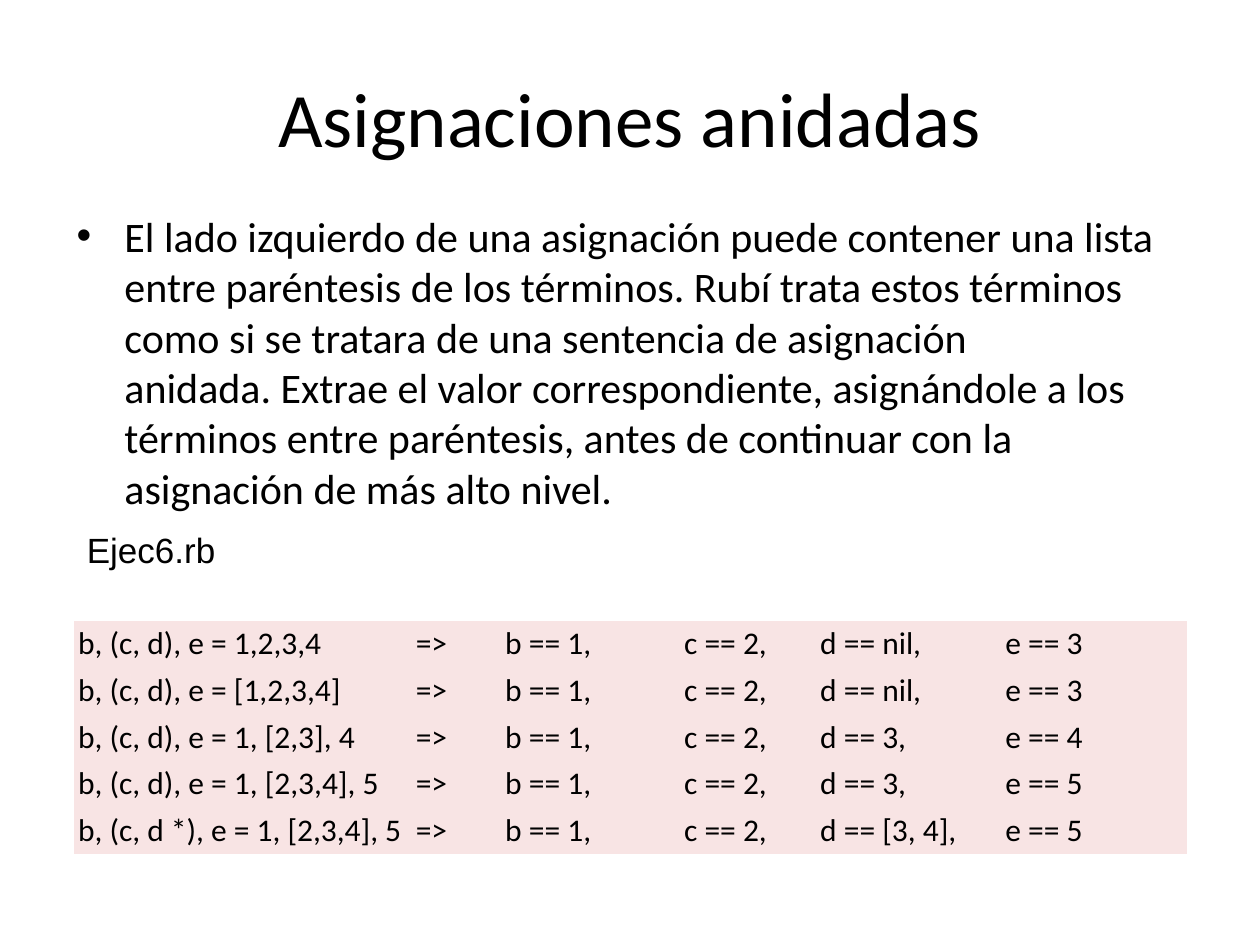
from pptx import Presentation, util as u
from pptx.dml.color import RGBColor
from pptx.enum import text
from lxml import etree

TITLE = "Asignaciones anidadas"
BODY = ("El lado izquierdo de una asignación puede contener una lista entre "
        "paréntesis de los términos.\u00a0Rubí trata estos términos como si se "
        "tratara de una sentencia de asignación anidada.\u00a0Extrae el valor "
        "correspondiente, asignándole a los términos entre paréntesis, antes "
        "de continuar con la asignación de más alto nivel.")
FILE = "Ejec6.rb"
# left side of the assignment, value of d, value of e
CASES = [
    ("b, (c, d), e = 1,2,3,4", "nil", 3),
    ("b, (c, d), e = [1,2,3,4]", "nil", 3),
    ("b, (c, d), e = 1, [2,3], 4", "3", 4),
    ("b, (c, d), e = 1, [2,3,4], 5", "3", 5),
    ("b, (c, d *), e = 1, [2,3,4], 5", "[3, 4]", 5),
]
COLS = [2.68, 0.71, 1.42, 1.08, 1.47, 1.47]
ROW = 0.37
INSET = 0.03
COLORS = {"ink": "000000", "rose": "F8E4E4"}
NO_GRID = "{2D5ABB26-0587-4C30-8999-92F81FD0307C}"


def write(frame, words, size, font="Calibri"):
    """Fill a frame with one styled paragraph and return it."""
    frame.text = words
    par = frame.paragraphs[0]
    style = par.runs[0].font
    style.size, style.name = u.Pt(size), font
    style.color.rgb = RGBColor.from_string(COLORS["ink"])
    return par


def add_text(slide, box, words, size, font="Calibri", anchor="MIDDLE"):
    """Add a wrapping text box and return its paragraph."""
    frame = slide.shapes.add_textbox(*map(u.Inches, box)).text_frame
    frame.word_wrap = True
    frame.vertical_anchor = text.MSO_ANCHOR[anchor]
    return write(frame, words, size, font)


def add_bullet(par, indent):
    """Give a paragraph a round bullet with a hanging indent."""
    props = par._p.get_or_add_pPr()
    props.set("marL", str(u.Inches(indent)))
    props.set("indent", str(-u.Inches(indent)))
    space = "{http://schemas.openxmlformats.org/drawingml/2006/main}"
    etree.SubElement(props, space + "buFont").set("typeface", "Arial")
    etree.SubElement(props, space + "buChar").set("char", "•")


def add_cases(slide, left, top):
    """Add the table of nested assignments and their results."""
    frame = slide.shapes.add_table(
        len(CASES), len(COLS), u.Inches(left), u.Inches(top),
        u.Inches(sum(COLS)), u.Inches(ROW * len(CASES)))
    table = frame.table
    table.first_row = table.horz_banding = False
    table._tbl.tblPr[0].text = NO_GRID
    for col, width in zip(table.columns, COLS):
        col.width = u.Inches(width)
    for row, (code, d, e) in zip(table.rows, CASES):
        words = [code, "=>", "b == 1,", "c == 2,", f"d == {d},", f"e == {e}"]
        for cell, word in zip(row.cells, words):
            cell.margin_left = cell.margin_right = u.Inches(INSET)
            cell.margin_top = cell.margin_bottom = u.Inches(INSET)
            cell.fill.solid()
            cell.fill.fore_color.rgb = RGBColor.from_string(COLORS["rose"])
            write(cell.text_frame, word, 18)


deck = Presentation()
deck.slide_width, deck.slide_height = u.Inches(10), u.Inches(7.5)
slide = deck.slides.add_slide(deck.slide_layouts[6])

title = add_text(slide, (0.5, 0.3, 9, 1.25), TITLE, 44)
title.alignment = text.PP_ALIGN.CENTER
body = add_text(slide, (0.51, 1.62, 9, 2.36), BODY, 24, anchor="TOP")
add_bullet(body, 0.38)
add_cases(slide, 0.59, 4.93)
add_text(slide, (0.59, 4.14, 8.98, 0.44), FILE, 20, "Arial")

deck.save("out.pptx")
